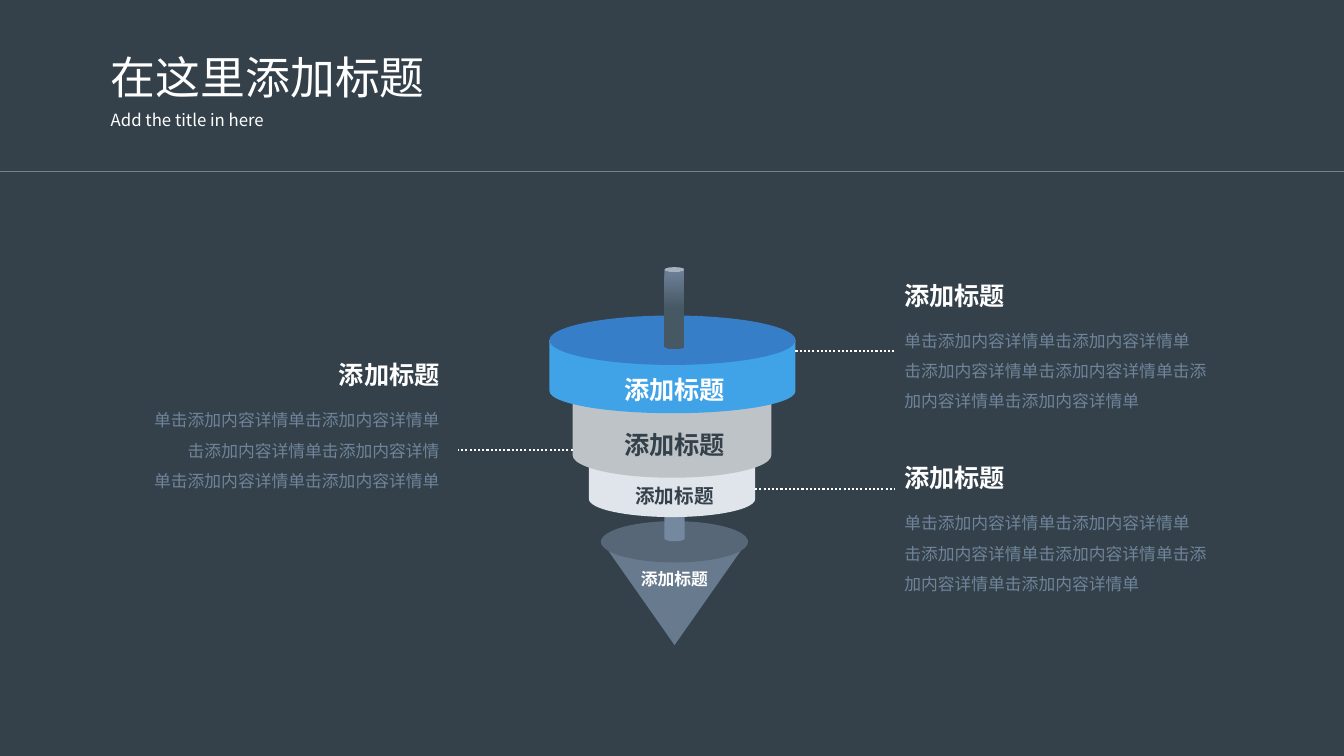
from dataclasses import dataclass
from typing import Optional

from lxml import etree
from pptx import Presentation
from pptx import util as u
from pptx.dml import color as c
from pptx.enum import dml, shapes, text
from pptx.oxml import ns

Inches, Pt = u.Inches, u.Pt
Align, Preset = text.PP_ALIGN, shapes.MSO_SHAPE


@dataclass(frozen=True)
class Theme:
    font: str = "Noto Sans CJK SC"
    background: str = "34414A"
    white: str = "FFFFFF"
    muted: str = "6F849A"
    rule: str = "808080"
    cone: str = "687A8E"
    cone_top: str = "576777"
    stem: str = "7488A0"
    pale: str = "E0E5EB"
    grey: str = "BEC3C7"
    blue: str = "40A3E7"
    blue_top: str = "367EC8"
    rod_light: str = "6A7D93"
    rod_dark: str = "465864"
    title_size: int = 32
    heading_size: int = 18
    small_heading_size: int = 14
    body_size: int = 12


@dataclass(frozen=True)
class Box:
    left: float
    top: float
    width: float
    height: float

    def lengths(self) -> list:
        return [Inches(v) for v in (self.left, self.top, self.width, self.height)]


@dataclass(frozen=True)
class Style:
    size: int
    color: str
    bold: bool = False
    align: Align = Align.LEFT
    spacing: float = 1.0


@dataclass(frozen=True)
class Part:
    preset: Preset
    box: Box
    color: str
    depth: Optional[float] = None
    rotation: int = 0


@dataclass(frozen=True)
class Label:
    top: float
    height: float
    size: int
    color: str


@dataclass(frozen=True)
class Note:
    left: float
    top: float
    lines: tuple
    align: Align


@dataclass(frozen=True)
class Line:
    start: float
    end: float
    y: float
    color: str
    weight: float
    dash: Optional[dml.MSO_LINE] = None


T = Theme()
HEADING = "添加标题"
DETAIL = "单击添加内容详情单击添加内容详情单"
LEFT_LINES = (DETAIL, "击添加内容详情单击添加内容详情", DETAIL)
RIGHT_LINES = (DETAIL, "击添加内容详情单击添加内容详情单" + "击添加内容详情单击添加内容详情单")
BODY_WIDTH, HEADING_WIDTH, HEADING_HEIGHT = 3.22, 1.77, 0.4

PARTS = (
    Part(Preset.ISOSCELES_TRIANGLE, Box(5.96, 5.36, 1.46, 1.04), T.cone, rotation=180),
    Part(Preset.OVAL, Box(5.96, 5.17, 1.46, 0.41), T.cone_top),
    Part(Preset.CAN, Box(6.59, 4.75, 0.2, 0.62), T.stem),
    Part(Preset.CAN, Box(5.84, 4.12, 1.65, 1.01), T.pale, 0.355),
    Part(Preset.CAN, Box(5.68, 3.48, 1.97, 1.26), T.grey, 0.355),
    Part(Preset.CAN, Box(5.45, 3.16, 2.44, 0.94), T.blue, 0.467),
    Part(Preset.OVAL, Box(5.45, 3.13, 2.44, 0.49), T.blue_top),
)
ROD = Part(Preset.CAN, Box(6.59, 2.65, 0.2, 0.81), T.rod_dark)
LABELS = (
    Label(3.66, 0.4, T.heading_size, T.white),
    Label(4.21, 0.4, T.heading_size, T.background),
    Label(4.75, 0.34, T.small_heading_size, T.background),
    Label(5.59, 0.3, T.body_size, T.white),
)
NOTES = (
    Note(1.24, 3.92, LEFT_LINES, Align.RIGHT),
    Note(8.87, 3.13, RIGHT_LINES, Align.LEFT),
    Note(8.87, 4.94, RIGHT_LINES, Align.LEFT),
)
RULE = Line(0, 13.33, 1.7, T.rule, 0.75)
LEADERS = tuple(
    Line(start, end, y, T.white, 1.5, dml.MSO_LINE.ROUND_DOT)
    for start, end, y in ((5.68, 4.54, 4.46), (7.89, 8.87, 3.48), (7.49, 8.87, 4.85))
)


def rgb(value: str) -> c.RGBColor:
    return c.RGBColor.from_string(value)


def write(sp, lines: tuple, style: Style) -> None:
    tf = sp.text_frame
    tf.word_wrap = True
    tf.auto_size = text.MSO_AUTO_SIZE.NONE
    tf.vertical_anchor = text.MSO_ANCHOR.TOP
    tf.text = "\n".join(lines)
    for p in tf.paragraphs:
        p.alignment, p.line_spacing = style.align, style.spacing
        p.font.name, p.font.size, p.font.bold = T.font, Pt(style.size), style.bold
        p.font.color.rgb = rgb(style.color)
        props = p._p.pPr.find(ns.qn("a:defRPr"))
        etree.SubElement(props, ns.qn("a:ea"), typeface=T.font)


def add_text(s, box: Box, lines: tuple, style: Style) -> None:
    write(s.shapes.add_textbox(*box.lengths()), lines, style)


def add_part(s, part: Part):
    sp = s.shapes.add_shape(part.preset, *part.box.lengths())
    sp.shadow.inherit = False
    sp.fill.solid()
    sp.fill.fore_color.rgb = rgb(part.color)
    sp.line.fill.background()
    sp.rotation = part.rotation
    if part.depth is not None:
        sp.adjustments[0] = part.depth
    return sp


def add_rod(s) -> None:
    fill = add_part(s, ROD).fill
    fill.gradient()
    fill.gradient_angle = 270
    stops = ((0.08, T.rod_light), (0.51, T.rod_dark))
    for stop, (position, color) in zip(fill.gradient_stops, stops):
        stop.position, stop.color.rgb = position, rgb(color)


def add_line(s, line: Line) -> None:
    y = Inches(line.y)
    sp = s.shapes.add_connector(
        shapes.MSO_CONNECTOR.STRAIGHT, Inches(line.start), y, Inches(line.end), y)
    sp.line.color.rgb, sp.line.width = rgb(line.color), Pt(line.weight)
    if line.dash is not None:
        sp.line.dash_style = line.dash
    etree.SubElement(sp._element.spPr, ns.qn("a:effectLst"))


def add_note(s, note: Note) -> None:
    body = Box(note.left, note.top, BODY_WIDTH, 1.01)
    add_text(s, body, note.lines, Style(T.body_size, T.muted, align=note.align, spacing=1.5))
    shift = BODY_WIDTH - HEADING_WIDTH if note.align == Align.RIGHT else 0
    heading = Box(note.left + shift, note.top - HEADING_HEIGHT, HEADING_WIDTH, HEADING_HEIGHT)
    add_text(s, heading, (HEADING,), Style(T.heading_size, T.white, True, note.align))


prs = Presentation()
prs.slide_width, prs.slide_height = Inches(13.33), Inches(7.5)
s = prs.slides.add_slide(prs.slide_layouts[5])
s.background.fill.solid()
s.background.fill.fore_color.rgb = rgb(T.background)

title = s.shapes.title
title.left, title.top, title.width, title.height = Box(1, 0.44, 3.46, 0.64).lengths()
write(title, ("在这里添加标题",), Style(T.title_size, T.white))
add_text(s, Box(1, 1.04, 3.46, 0.3), ("Add the title in here",), Style(T.body_size, T.white))
add_line(s, RULE)
for part in PARTS:
    add_part(s, part)
add_rod(s)
for label in LABELS:
    add_text(s, Box(6.06, label.top, 1.26, label.height), (HEADING,),
             Style(label.size, label.color, True, Align.CENTER))
for note in NOTES:
    add_note(s, note)
for leader in LEADERS:
    add_line(s, leader)
prs.save("out.pptx")
